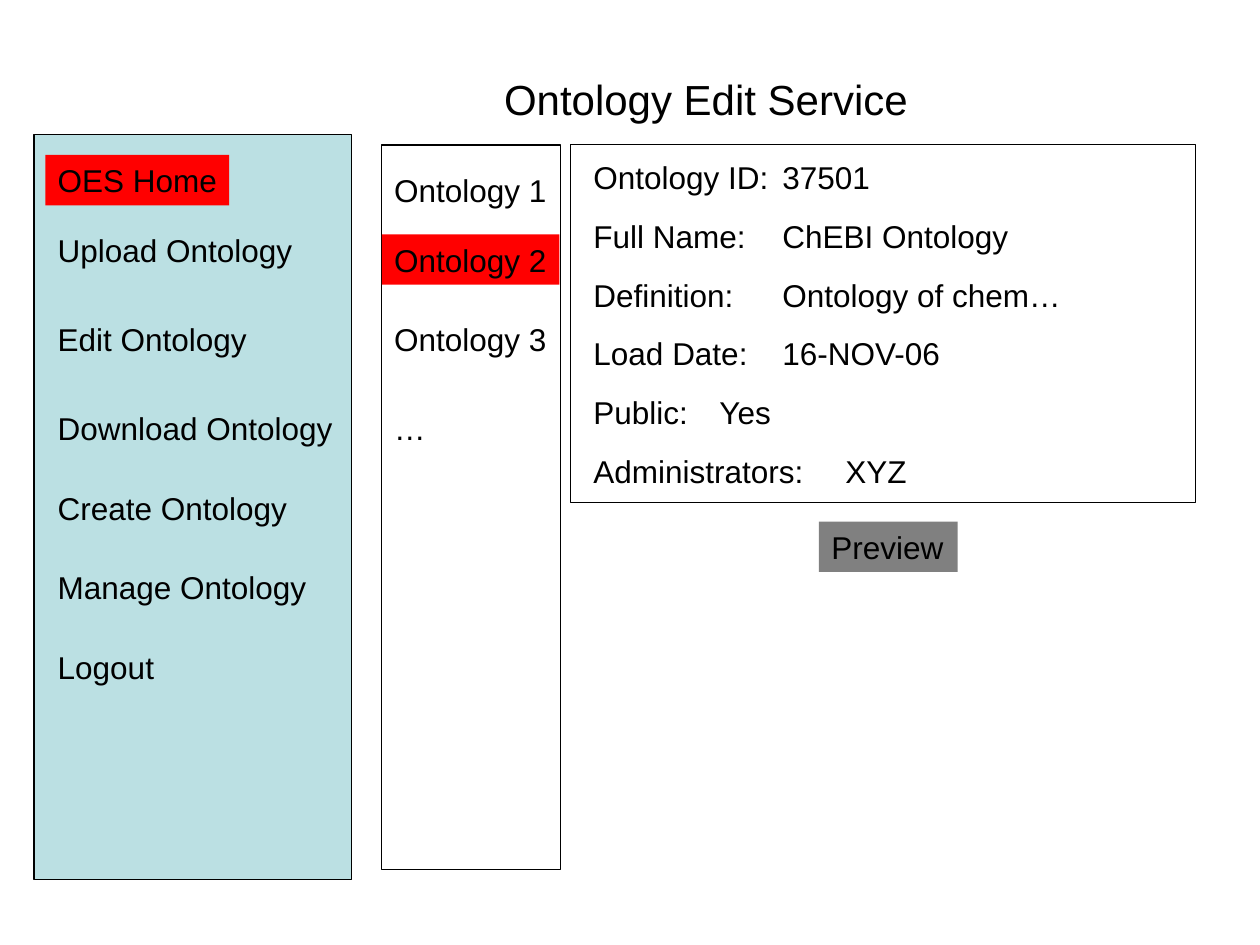
from lxml import etree
from pptx import Presentation
from pptx import util as u
from pptx.dml.color import RGBColor
from pptx.enum import shapes, text
from pptx.oxml.ns import qn

ITEM_HEIGHT = 0.4
ITEM = {"size": u.Pt(18), "name": "Arial", "bold": False}
HEADING = {**ITEM, "size": u.Pt(24)}
FRAME = {"word_wrap": False, "auto_size": text.MSO_AUTO_SIZE.NONE,
         "vertical_anchor": text.MSO_ANCHOR.MIDDLE}

MENU = [("OES Home", 1.23, 1.46), ("Upload Ontology", 1.78, 2.06),
        ("Edit Ontology", 2.49, 1.7), ("Download Ontology", 3.2, 2.38),
        ("Create Ontology", 3.83, 2.02), ("Manage Ontology", 4.46, 2.17),
        ("Logout", 5.09, 0.96)]
ONTOLOGIES = [("Ontology 1", 1.31, 1.41), ("Ontology 2", 1.86, 1.41),
              ("Ontology 3", 2.49, 1.41), ("…", 3.2, 0.45)]
DETAILS = [("Ontology ID:", "37501"), ("Full Name:", "ChEBI Ontology"),
           ("Definition:", "Ontology of chem…"), ("Load Date:", "16-NOV-06"),
           ("Public:", "Yes"), ("Administrators:", "XYZ")]


def color(value):
    """Turn a hex string into a colour."""
    return RGBColor.from_string(value)


def apply(target, values):
    """Set every attribute in a dict of format values."""
    for name, value in values.items():
        setattr(target, name, value)


def place(shape, box):
    """Move a placeholder to a box given in inches."""
    names = ("left", "top", "width", "height")
    apply(shape, dict(zip(names, map(u.Inches, box))))


def write(paragraph, words, style):
    """Add left-aligned black text to a paragraph."""
    paragraph.alignment = text.PP_ALIGN.LEFT
    run = paragraph.add_run()
    run.text = words
    apply(run.font, style)
    run.font.color.rgb = color("000000")


def add_box(slide, box, fill=None, line=None):
    """Add a rectangle with an optional fill and outline."""
    shape = slide.shapes.add_shape(shapes.MSO_SHAPE.RECTANGLE, *map(u.Inches, box))
    shape.shadow.inherit = False
    if fill:
        shape.fill.solid()
        shape.fill.fore_color.rgb = color(fill)
    else:
        shape.fill.background()
    if line:
        shape.line.color.rgb = color(line)
        shape.line.width = u.Pt(0.75)
    else:
        shape.line.fill.background()
    return shape


def add_item(slide, words, box, fill=None):
    """Add a one-line label, on a filled box when a fill is given."""
    if fill:
        shape = add_box(slide, box, fill)
    else:
        shape = slide.shapes.add_textbox(*map(u.Inches, box))
    apply(shape.text_frame, FRAME)
    write(shape.text_frame.paragraphs[0], words, ITEM)


def add_list_panel(slide, box, fill, items, item_left, selected):
    """Add a panel with a column of labels, one of them highlighted."""
    add_box(slide, box, fill, "000000")
    for words, top, width in items:
        add_item(slide, words, (item_left, top, width, ITEM_HEIGHT),
                 "FF0000" if words == selected else None)


def add_title(slide, box):
    """Fill the title placeholder."""
    title = slide.shapes.title
    place(title, box)
    apply(title.text_frame, FRAME)
    write(title.text_frame.paragraphs[0], "Ontology Edit Service", HEADING)


def add_details(slide, box):
    """Add the framed ontology details, with values on a tab stop."""
    left, top, width, height = box
    add_box(slide, box, line="000000")
    body = slide.placeholders[1]
    place(body, (left + 0.08, top + 0.08, width - 0.39, height - 0.16))
    frame = body.text_frame
    apply(frame, {**FRAME, "word_wrap": True})
    for index, pair in enumerate(DETAILS):
        paragraph = frame.add_paragraph() if index else frame.paragraphs[0]
        properties = paragraph._p.get_or_add_pPr()
        apply_indent = {"marL": "0", "indent": "0"}
        for name, value in apply_indent.items():
            properties.set(name, value)
        etree.SubElement(properties, qn("a:buNone"))
        tabs = etree.SubElement(properties, qn("a:tabLst"))
        etree.SubElement(tabs, qn("a:tab"), pos=str(u.Inches(2)), algn="l")
        paragraph.space_before = u.Pt(12 if index else 0)
        write(paragraph, "\t".join(pair), ITEM)


def main():
    """Build and save the slide."""
    presentation = Presentation()
    apply(presentation, {"slide_width": u.Inches(10), "slide_height": u.Inches(7.5)})
    slide = presentation.slides.add_slide(presentation.slide_layouts[1])
    add_title(slide, (3.9, 0.55, 3.47, 0.47))
    add_list_panel(slide, (0.27, 1.07, 2.52, 5.91), "BBE0E3", MENU, 0.36, "OES Home")
    add_list_panel(slide, (3.03, 1.15, 1.42, 5.75), "FFFFFF", ONTOLOGIES, 3.03,
                   "Ontology 2")
    add_details(slide, (4.53, 1.15, 4.96, 2.84))
    add_item(slide, "Preview", (6.5, 4.14, 1.1, ITEM_HEIGHT), "808080")
    presentation.save("out.pptx")


if __name__ == "__main__":
    main()
